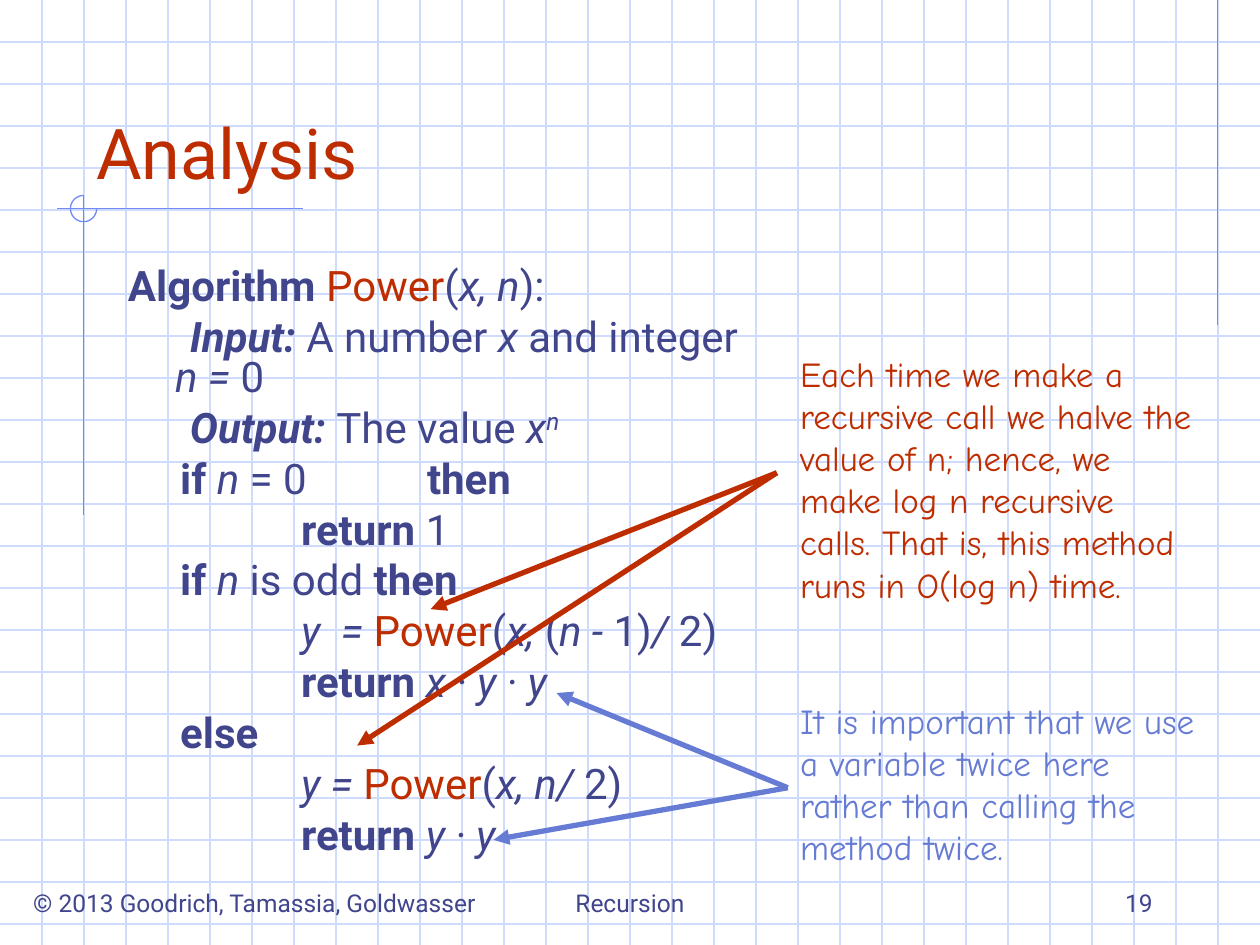
import pptx
import pptx.dml.color
import pptx.enum.shapes
import pptx.enum.text
import pptx.oxml
import pptx.oxml.ns
import pptx.util
from lxml import etree

Cm, Pt = pptx.util.Cm, pptx.util.Pt
RGB = pptx.dml.color.RGBColor.from_string
ALIGN = pptx.enum.text.PP_ALIGN
ANCHOR = pptx.enum.text.MSO_ANCHOR
COLORS = {"grid": "CFDBFD", "rule": "6F89F7", "ink": "40458C",
          "red": "BE2D00", "blue": "657BD4"}
WIDTH, HEIGHT = 25.4, 19.05
GRID_STEP = WIDTH / 30
TAB_STEP = 2.54

deck = pptx.Presentation()
deck.slide_width, deck.slide_height = Cm(WIDTH), Cm(HEIGHT)
slide = deck.slides.add_slide(deck.slide_layouts[6])


def add_line(start, end, color, weight=0.75, arrow=False):
    """Draw a straight line; an arrow has its head at the start."""
    line = slide.shapes.add_connector(
        pptx.enum.shapes.MSO_CONNECTOR.STRAIGHT,
        Cm(start[0]), Cm(start[1]), Cm(end[0]), Cm(end[1]))
    line.line.color.rgb = RGB(COLORS[color])
    line.line.width = Pt(weight)
    if arrow:
        head = etree.SubElement(line.line._get_or_add_ln(), pptx.oxml.ns.qn("a:headEnd"))
        head.set("type", "triangle")
    etree.SubElement(line._element.spPr, pptx.oxml.ns.qn("a:effectLst"))


def add_text(box, paragraphs, size, color="ink", font="Roboto",
             anchor=ANCHOR.TOP, align=ALIGN.LEFT):
    """Add paragraphs of (text, style) runs: b bold, i italic, r red, ^ raised."""
    frame = slide.shapes.add_textbox(*[Cm(length) for length in box]).text_frame
    frame.word_wrap = True
    frame.vertical_anchor = anchor
    for index, runs in enumerate(paragraphs):
        paragraph = frame.add_paragraph() if index else frame.paragraphs[0]
        paragraph.alignment = align
        for text, style in runs:
            run = paragraph.add_run()
            run.text = text
            run.font.name = font
            run.font.size = Pt(size)
            run.font.bold = "b" in style
            run.font.italic = "i" in style
            run.font.color.rgb = RGB(COLORS["red" if "r" in style else color])
            if "^" in style:
                run._r.get_or_add_rPr().set("baseline", "30000")
    return frame


# Graph paper
for row in range(1, 23):
    add_line((0, row * GRID_STEP), (WIDTH, row * GRID_STEP), "grid")
for column in range(1, 30):
    add_line((column * GRID_STEP, 0), (column * GRID_STEP, HEIGHT), "grid")

# Rules and three-quarter ring beside the title
add_line((24.55, 0), (24.55, 6.55), "rule")
add_line((6.1, 4.2), (1.14, 4.2), "rule")
add_line((1.69, 3.94), (1.69, 10.39), "rule")
ring = slide.shapes.add_shape(pptx.enum.shapes.MSO_SHAPE.ARC,
                              Cm(1.42), Cm(3.94), Cm(0.53), Cm(0.53))
ring.adjustments[0] = 0
ring.adjustments[1] = 162  # 270 degrees
ring.fill.background()
ring.line.color.rgb = RGB(COLORS["rule"])
ring.line.width = Pt(0.75)
ring.shadow.inherit = False

# Footer and title
for left, width, text, align in [
    (0.42, 9.53, "© 2013 Goodrich, Tamassia, Goldwasser", ALIGN.LEFT),
    (8.68, 8.04, "Recursion", ALIGN.CENTER),
    (18.2, 5.29, "19", ALIGN.RIGHT),
]:
    add_text((left, 17.35, width, 1.27), [[(text, "")]], 14,
             anchor=ANCHOR.BOTTOM, align=align)
add_text((1.69, 0.85, 21.59, 3.18), [[("Analysis", "")]], 40, "red",
         anchor=ANCHOR.BOTTOM)

# Algorithm
algorithm = [
    [("Algorithm ", "b"), ("Power", "r"), ("(", ""), ("x, n", "i"), ("):", "")],
    [("      Input: ", "bi"), ("A number ", ""), ("x ", "i"), ("and integer ", ""),
     ("n = ", "i"), ("0", "")],
    [("      Output: ", "bi"), ("The value ", ""), ("x", "i"), ("n", "i^")],
    [("     if ", "b"), ("n ", "i"), ("= 0\t", ""), ("then", "b")],
    [("\t\treturn ", "b"), ("1", "")],
    [("     if ", "b"), ("n ", "i"), ("is odd ", ""), ("then", "b")],
    [("\t\ty  = ", "i"), ("Power", "r"), ("(", ""), ("x, ", "i"), ("(", ""),
     ("n - ", "i"), ("1)", ""), ("/ ", "i"), ("2)", "")],
    [("\t\treturn ", "b"), ("x · y · y", "i")],
    [("     else", "b")],
    [("\t\ty = ", "i"), ("Power", "r"), ("(", ""), ("x, n/ ", "i"), ("2)", "")],
    [("\t\treturn ", "b"), ("y · y", "i")],
]
code = add_text((2.33, 5.3, 13.12, 12.28), algorithm, 24)
for index, step in enumerate(code.paragraphs):
    step.line_spacing = 0.8
    if index:
        step.space_before = Pt(6)
    properties = step._p.get_or_add_pPr()
    properties.set("marL", str(Cm(0.95)))
    properties.set("indent", str(Cm(-0.95)))
    # The default interval must match the stops, or half-width stops fall between.
    properties.set("defTabSz", str(Cm(TAB_STEP)))
    tabs = etree.SubElement(properties, pptx.oxml.ns.qn("a:tabLst"))
    for stop in range(8):
        etree.SubElement(tabs, pptx.oxml.ns.qn("a:tab"),
                         pos=str(Cm(stop * TAB_STEP)), algn="l")

# Remarks and their arrows
for box, color, remark in [
    ((15.88, 13.97, 8.5, 3.66), "blue",
     "It is important that we use a variable twice here rather than calling "
     "the method twice."),
    ((15.88, 6.99, 8.46, 5.33), "red",
     "Each time we make a recursive call we halve the value of n; hence, we make "
     "log n recursive calls. That is, this method runs in O(log n) time."),
]:
    add_text(box, [[(remark, "")]], 20, color, "Comic Neue")
for target, remark_edge, color in [
    ((11.22, 13.97), (15.88, 15.88), "blue"),
    ((9.95, 16.93), (15.88, 15.88), "blue"),
    ((8.68, 12.28), (15.66, 9.53), "red"),
    ((7.2, 15.03), (15.66, 9.53), "red"),
]:
    add_line(target, remark_edge, color, 3, arrow=True)

deck.save("out.pptx")
